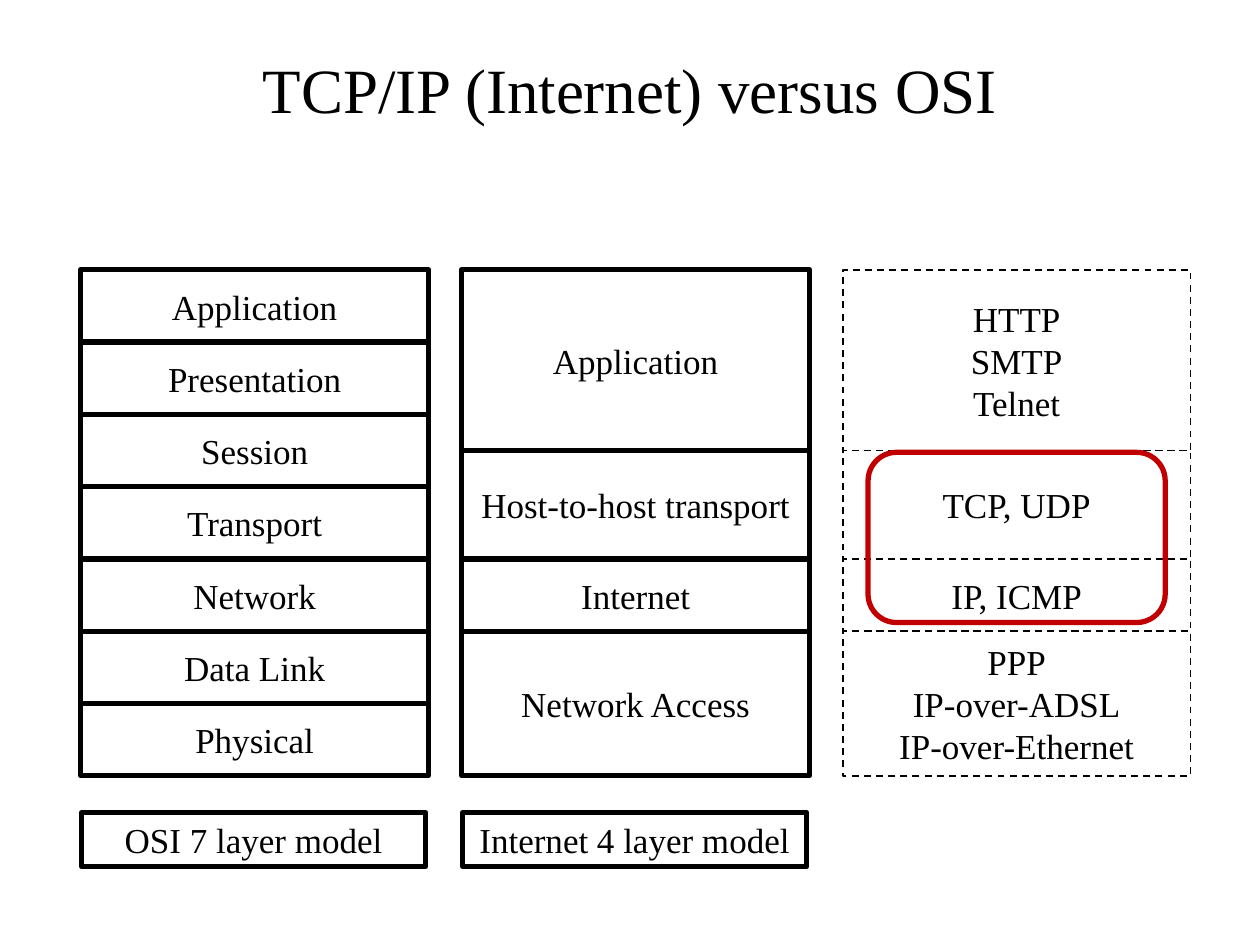
from pptx import Presentation
from pptx.dml.color import RGBColor
from pptx.enum.dml import MSO_LINE
from pptx.enum.shapes import MSO_SHAPE
from pptx.enum.text import MSO_ANCHOR, PP_ALIGN
from pptx.util import Cm, Pt

RECTANGLE = MSO_SHAPE.RECTANGLE
ROUNDED = MSO_SHAPE.ROUNDED_RECTANGLE
DASH = MSO_LINE.DASH
CENTER = PP_ALIGN.CENTER
MIDDLE = MSO_ANCHOR.MIDDLE
TOP = MSO_ANCHOR.TOP

FONT = "Times New Roman"
BLACK = "000000"
RED = "C00000"

COLUMN_LEFT, COLUMN_TOP = 1.63, 5.44
COLUMN_WIDTH, COLUMN_HEIGHT = 7.01, 10.2
COLUMN_PITCH = 7.68
LAYER_COUNT = 7

OSI_LAYERS = [
    (name, 1)
    for name in ("Application", "Presentation", "Session", "Transport",
                 "Network", "Data Link", "Physical")
]
INTERNET_LAYERS = [
    ("Application", 2.5),
    ("Host-to-host transport", 1.5),
    ("Internet", 1),
    ("Network Access", 2),
]
PROTOCOLS = [
    ("HTTP\nSMTP\nTelnet", 2.5),
    ("TCP, UDP", 1.5),
    ("IP, ICMP", 1),
    ("PPP\nIP-over-ADSL\nIP-over-Ethernet", 2),
]


def color(hex_string):
    """Return the colour for a hex string."""
    return RGBColor.from_string(hex_string)


def write_text(shape, text, size=20, font_color=BLACK, anchor=MIDDLE, wrap=False):
    """Write centred text, one paragraph for each line."""
    frame = shape.text_frame
    frame.text = text
    frame.word_wrap = wrap
    frame.vertical_anchor = anchor
    for paragraph in frame.paragraphs:
        paragraph.alignment = CENTER
        font = paragraph.font
        font.name = FONT
        font.size = Pt(size)
        font.color.rgb = color(font_color)


def add_outline(shapes, box, kind=RECTANGLE, line_color=BLACK, line_width=3, dash=None):
    """Add an unfilled outline shape in a box given in centimetres."""
    shape = shapes.add_shape(kind, *(Cm(length) for length in box))
    shape.shadow.inherit = False
    shape.fill.background()
    shape.line.color.rgb = color(line_color)
    shape.line.width = Pt(line_width)
    if dash is not None:
        shape.line.dash_style = dash
    return shape


def place_title(slide, box, text):
    """Move and format the title placeholder."""
    title = slide.shapes.title
    title.left, title.top, title.width, title.height = (Cm(length) for length in box)
    write_text(title, text, size=36, anchor=TOP, wrap=True)
    title.text_frame.margin_top = Cm(0.25)


def add_stack(slide, box, layers, **line_format):
    """Stack the layers in a group, each as high as its share of the box."""
    left, top, width, height = box
    group = slide.shapes.add_group_shape()
    for text, share in layers:
        layer_height = height * share / LAYER_COUNT
        layer = add_outline(group.shapes, (left, top, width, layer_height), **line_format)
        write_text(layer, text)
        top += layer_height


def add_model(slide, box, layers, label):
    """Add a stack of layers with its label below."""
    left, top, width, height = box
    add_stack(slide, box, layers)
    label_box = (left + 0.02, top + height + 0.74, width - 0.08, 1.09)
    write_text(add_outline(slide.shapes, label_box), label)


def add_protocols(slide, box, layers):
    """Add the dashed protocol stack and the highlight on its core."""
    left, top, width, height = box
    add_stack(slide, box, layers, line_width=1, dash=DASH)
    highlight_box = (left + 0.51, top + 3.68, width - 1.02, 3.43)
    add_outline(slide.shapes, highlight_box, kind=ROUNDED, line_color=RED)


def main():
    """Build and save the slide."""
    presentation = Presentation()
    presentation.slide_width = Cm(25.4)
    presentation.slide_height = Cm(19.05)
    slide = presentation.slides.add_slide(presentation.slide_layouts[5])
    osi_box, internet_box, protocol_box = (
        (COLUMN_LEFT + index * COLUMN_PITCH, COLUMN_TOP, COLUMN_WIDTH, COLUMN_HEIGHT)
        for index in range(3)
    )
    place_title(slide, (1.27, 0.76, 22.86, 3.18), "TCP/IP (Internet) versus OSI")
    add_model(slide, osi_box, OSI_LAYERS, "OSI 7 layer model")
    add_model(slide, internet_box, INTERNET_LAYERS, "Internet 4 layer model")
    add_protocols(slide, protocol_box, PROTOCOLS)
    presentation.save("out.pptx")


if __name__ == "__main__":
    main()
